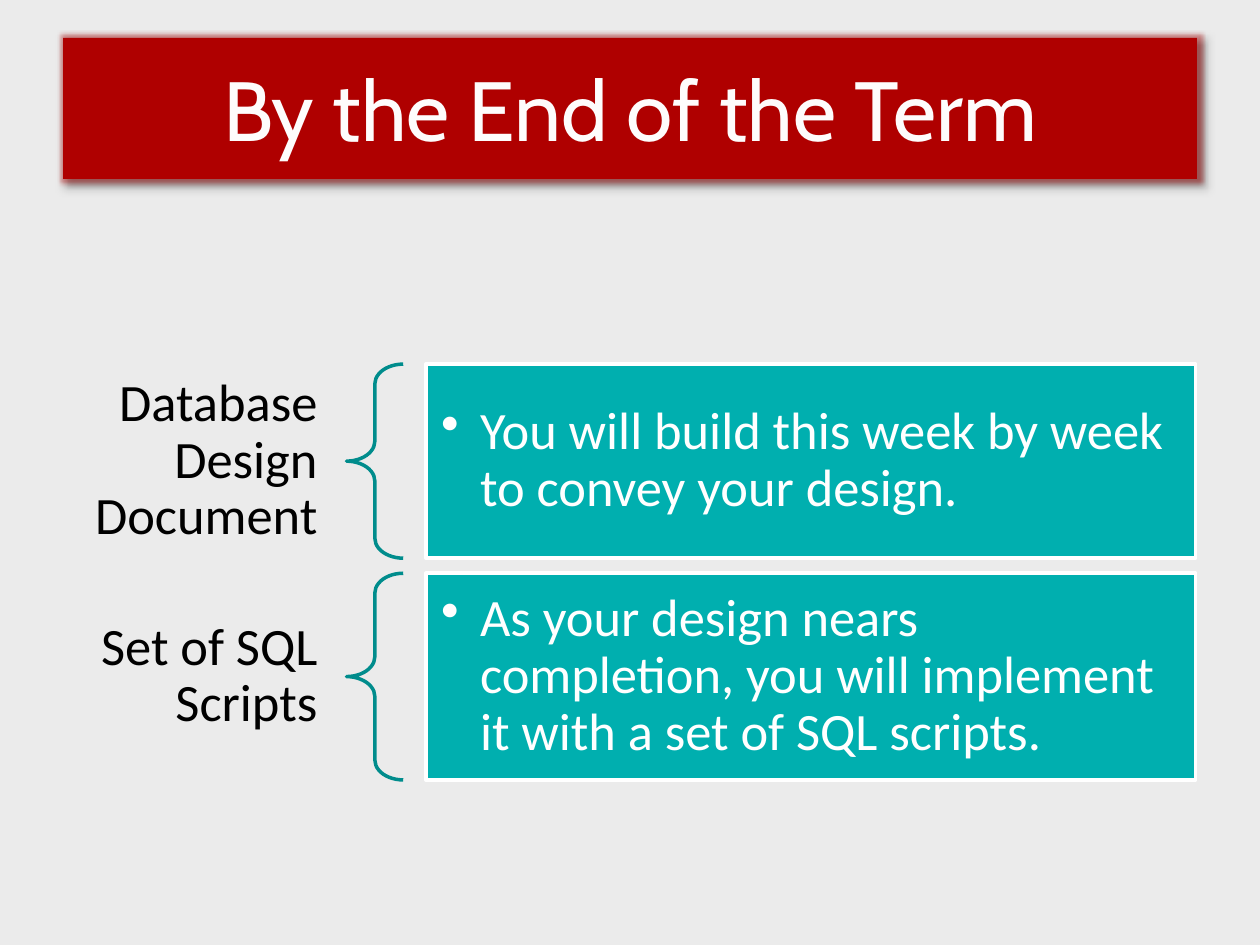
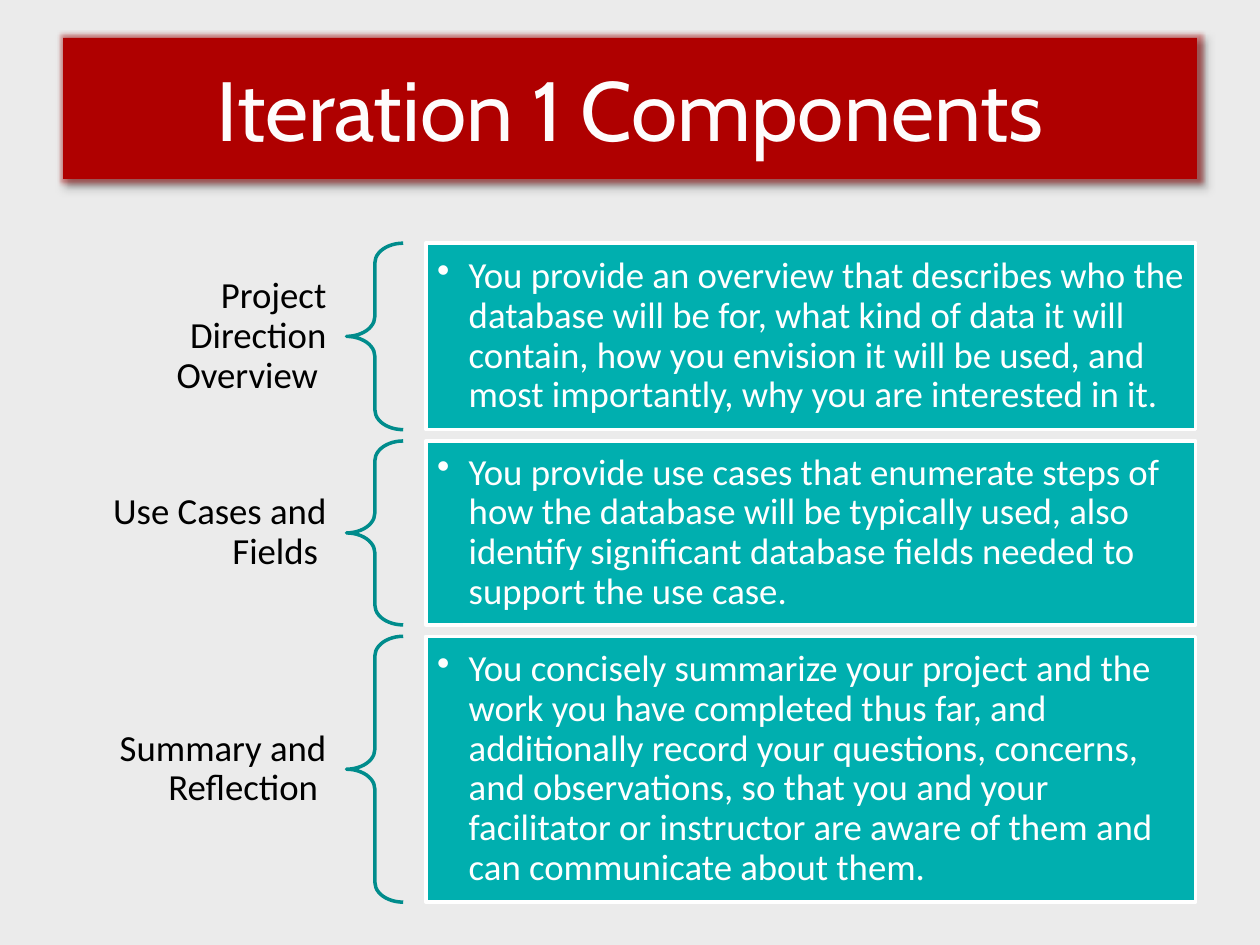
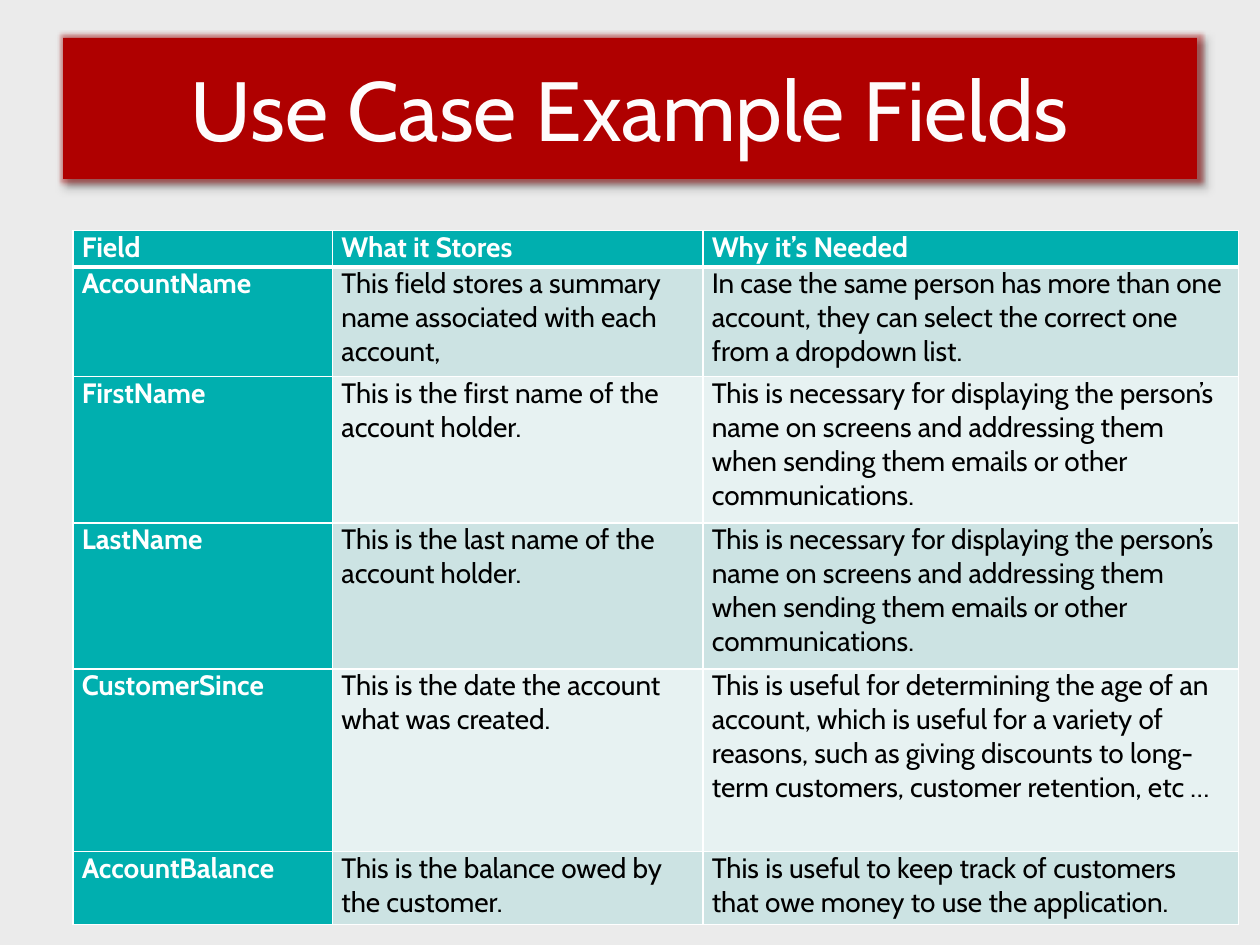
import dataclasses

import lxml.etree
import pptx
import pptx.dml.color
import pptx.enum.shapes
import pptx.enum.text
import pptx.oxml
import pptx.oxml.ns
import pptx.util

Inches = pptx.util.Inches
Pt = pptx.util.Pt
PP_ALIGN = pptx.enum.text.PP_ALIGN
MIDDLE = pptx.enum.text.MSO_ANCHOR.MIDDLE
MSO_SHAPE = pptx.enum.shapes.MSO_SHAPE


@dataclasses.dataclass(frozen=True)
class Theme:
    """Colours, fonts and type sizes shared by the slides."""
    background: str = "EBEBEB"
    band: str = "AF0000"
    title: str = "FEFCFC"
    teal: str = "00AFAF"
    brace: str = "008C8C"
    white: str = "FFFFFF"
    black: str = "000000"
    stripes: tuple = ("CCE3E3", "E7F2F2")
    heading_font: str = "Cabin"
    body_font: str = "Calibri"
    title_size: int = 48
    table_size: int = 16


@dataclasses.dataclass(frozen=True)
class Box:
    """A region of a slide, in inches."""
    left: float
    top: float
    width: float
    height: float

    def emu(self):
        """Return the region as lengths for python-pptx."""
        return [Inches(v) for v in (self.left, self.top, self.width, self.height)]


@dataclasses.dataclass(frozen=True)
class ListStyle:
    """Type size and spacing of a braced list, lengths in inches."""
    size: int
    gap: float
    label_margins: tuple
    detail_margin: float
    indent: float


THEME = Theme()
TITLE_BOX = Box(0.5, 0.3, 9, 1.12)
LARGE = ListStyle(30, 0.12, (0.23, 0.08), 0.12, 0.31)
SMALL = ListStyle(21, 0.09, (0.16, 0.06), 0.09, 0.25)

DELIVERABLES = [
    (1.54, 1.54, "Database Design Document",
     "You will build this week by week to convey your design."),
    (1.64, 1.1, "Set of SQL Scripts",
     "As your design nears completion, you will implement it with a set of SQL scripts."),
]
COMPONENTS = [
    (1.48, 1.08, "Project Direction Overview ",
     "You provide an overview that describes who the database will be for, what kind of "
     "data it will contain, how you envision it will be used, and most importantly, why "
     "you are interested in it."),
    (1.46, 0.77, "Use Cases and Fields ",
     "You provide use cases that enumerate steps of how the database will be typically "
     "used, also identify significant database fields needed to support the use case."),
    (2.11, 0.77, "Summary and Reflection ",
     "You concisely summarize your project and the work you have completed thus far, and "
     "additionally record your questions, concerns, and observations, so that you and your "
     "facilitator or instructor are aware of them and can communicate about them."),
]
NAME_REASON = ("This is necessary for displaying the person’s name on screens and addressing "
               "them when sending them emails or other communications.")
FIELDS = [
    ("Field", "What it Stores", "Why it’s Needed"),
    ("AccountName", "This field stores a summary name associated with each account,",
     "In case the same person has more than one account, they can select the correct one "
     "from a dropdown list."),
    ("FirstName", "This is the first name of the account holder.", NAME_REASON),
    ("LastName", "This is the last name of the account holder.", NAME_REASON),
    ("CustomerSince", "This is the date the account what was created.",
     "This is useful for determining the age of an account, which is useful for a variety "
     "of reasons, such as giving discounts to long-term customers, customer retention, etc …"),
    ("AccountBalance", "This is the balance owed by the customer.",
     "This is useful to keep track of customers that owe money to use the application."),
]
FIELD_WIDTHS = (2.06, 2.94, 4.25)
FIELD_HEIGHTS = (0.29, 0.87, 1.16, 1.16, 1.45, 0.58)


def rgb(value):
    """Turn a hex string into a colour."""
    return pptx.dml.color.RGBColor.from_string(value)


def paint(fill, color):
    """Make a fill solid in one colour."""
    fill.solid()
    fill.fore_color.rgb = rgb(color)


def xml(text):
    """Parse an element written with the a: prefix."""
    head, mark, tail = text.partition(">")
    if head.endswith("/"):
        head, mark = head[:-1], "/>"
    return pptx.oxml.parse_xml(head + " " + pptx.oxml.ns.nsdecls("a") + mark + tail)


def line_xml(tag, color, points):
    """Return a solid line element."""
    return xml(f'<a:{tag}><a:solidFill><a:srgbClr val="{color}"/></a:solidFill></a:{tag}>'
               .replace(">", f' w="{int(Pt(points))}">', 1))


def add_run(p, text, font, size, color, bold=False):
    """Add one formatted run to a paragraph."""
    r = p.add_run()
    r.text = text
    r.font.name = font
    r.font.size = Pt(size)
    r.font.bold = bold
    r.font.color.rgb = rgb(color)
    return r


def set_frame(tf, side, end):
    """Wrap a text frame, centre it vertically and set its margins."""
    tf.word_wrap = True
    tf.vertical_anchor = MIDDLE
    tf.margin_left = tf.margin_right = Inches(side)
    tf.margin_top = tf.margin_bottom = Inches(end)


def add_titled_slide(prs, title):
    """Add a slide with its title in the glowing red band."""
    s = prs.slides.add_slide(prs.slide_layouts.get_by_name("Title Only"))
    sp = s.shapes.title
    sp.left, sp.top, sp.width, sp.height = TITLE_BOX.emu()
    paint(sp.fill, THEME.band)
    sp._element.spPr.append(xml(
        f'<a:effectLst><a:glow rad="{int(Pt(5))}"><a:srgbClr val="{THEME.band}">'
        '<a:alpha val="40000"/></a:srgbClr></a:glow>'
        f'<a:outerShdw blurRad="{int(Pt(4))}" dist="{int(Pt(3))}" dir="2700000">'
        f'<a:srgbClr val="{THEME.black}"><a:alpha val="40000"/></a:srgbClr>'
        '</a:outerShdw></a:effectLst>'))
    tf = sp.text_frame
    tf.word_wrap = False
    tf.vertical_anchor = MIDDLE
    p = tf.paragraphs[0]
    p.alignment = PP_ALIGN.CENTER
    r = add_run(p, title, THEME.heading_font, THEME.title_size, THEME.title)
    r.font._element.insert(0, line_xml("ln", THEME.white, 0.75))
    return s


def add_label(s, box, text, style):
    """Add the right-aligned label in front of a brace."""
    tf = s.shapes.add_textbox(*box.emu()).text_frame
    set_frame(tf, *style.label_margins)
    p = tf.paragraphs[0]
    p.alignment = PP_ALIGN.RIGHT
    p.line_spacing = 0.9
    add_run(p, text, THEME.body_font, style.size, THEME.black)


def add_brace(s, box):
    """Add the brace between a label and its detail."""
    sp = s.shapes.add_shape(MSO_SHAPE.LEFT_BRACE, *box.emu())
    sp.shadow.inherit = False
    sp.adjustments[0] = 0.35
    sp.fill.background()
    sp.line.color.rgb = rgb(THEME.brace)
    sp.line.width = Pt(2)


def add_detail(s, box, text, style):
    """Add the teal panel holding one bulleted paragraph."""
    sp = s.shapes.add_shape(MSO_SHAPE.RECTANGLE, *box.emu())
    sp.shadow.inherit = False
    paint(sp.fill, THEME.teal)
    sp.line.color.rgb = rgb(THEME.white)
    sp.line.width = Pt(2)
    set_frame(sp.text_frame, style.detail_margin, style.detail_margin)
    p = sp.text_frame.paragraphs[0]
    p.alignment = PP_ALIGN.LEFT
    p.level = 1
    p.line_spacing = 0.9
    pPr = p._p.get_or_add_pPr()
    pPr.set("marL", str(int(Inches(style.indent))))
    pPr.set("indent", str(-int(Inches(style.indent))))
    pPr.append(xml('<a:buChar char="•"/>'))
    add_run(p, text, THEME.body_font, style.size, THEME.white)


def add_braced_list(s, box, rows, style):
    """Stack rows of label, brace and detail down the box."""
    label_width, brace_width, detail_left = (
        round(box.width * share, 2) for share in (0.25, 0.05, 0.32))
    top = box.top
    for height, label_height, label, detail in rows:
        label_top = top + (height - label_height) / 2
        add_label(s, Box(box.left, label_top, label_width, label_height), label, style)
        add_brace(s, Box(box.left + label_width, top, brace_width, height))
        add_detail(s, Box(box.left + detail_left, top, box.width - detail_left, height),
                   detail, style)
        top += height + style.gap


def fill_cell(cell, text, row, col):
    """Write, border and colour one table cell by its place."""
    heading = row == 0 or col == 0
    cell.margin_left = cell.margin_right = Inches(0.07)
    cell.margin_top = cell.margin_bottom = 0
    tcPr = cell._tc.get_or_add_tcPr()
    for tag, points in (("lnL", 1), ("lnR", 1),
                        ("lnT", 3 if row == 1 else 1), ("lnB", 3 if row == 0 else 1)):
        tcPr.append(line_xml(tag, THEME.white, points))
    paint(cell.fill, THEME.teal if heading else THEME.stripes[(row - 1) % 2])
    add_run(cell.text_frame.paragraphs[0], text, THEME.heading_font, THEME.table_size,
            THEME.white if heading else THEME.black, heading)


def add_field_table(s, box, rows):
    """Add the table of fields with a heading row and column."""
    table = s.shapes.add_table(len(rows), len(FIELD_WIDTHS), *box.emu()).table
    table.first_col = True
    for column, width in zip(table.columns, FIELD_WIDTHS):
        column.width = Inches(width)
    for i, (height, texts) in enumerate(zip(FIELD_HEIGHTS, rows)):
        table.rows[i].height = Inches(height)
        for j, text in enumerate(texts):
            fill_cell(table.cell(i, j), text, i, j)


def main():
    """Build the presentation and save it."""
    prs = pptx.Presentation()
    prs.slide_width, prs.slide_height = Inches(10), Inches(7.5)
    paint(prs.slide_master.background.fill, THEME.background)
    s = add_titled_slide(prs, "By the End of the Term")
    add_braced_list(s, Box(0.5, 2.89, 8.99, 3.3), DELIVERABLES, LARGE)
    s = add_titled_slide(prs, "Iteration 1 Components")
    add_braced_list(s, Box(0.5, 1.93, 8.99, 5.22), COMPONENTS, SMALL)
    s = add_titled_slide(prs, "Use Case Example Fields")
    add_field_table(s, Box(0.58, 1.83, 9.25, 5.5), FIELDS)
    prs.save("out.pptx")


if __name__ == "__main__":
    main()
